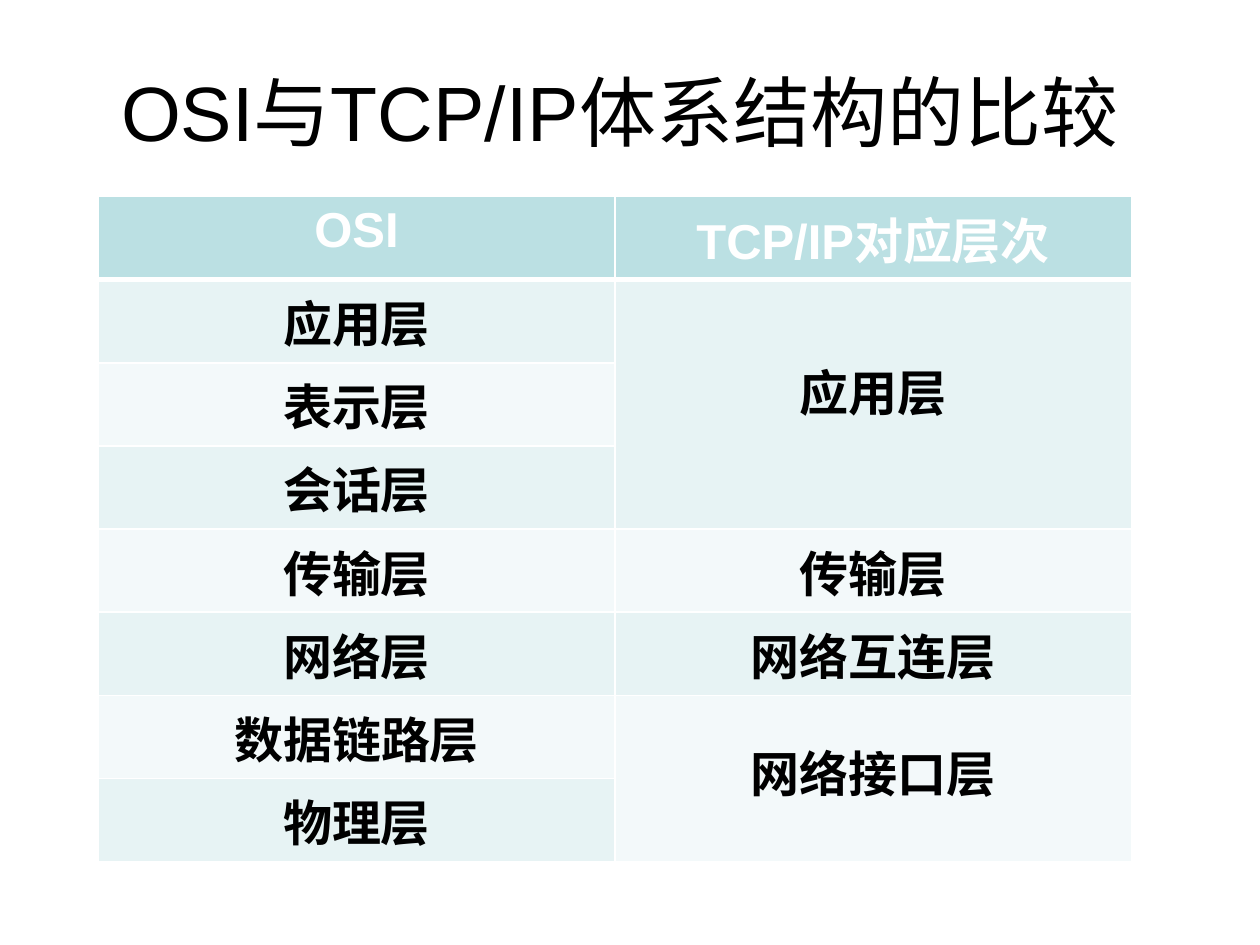
from lxml import etree
from pptx import Presentation
from pptx.dml.color import RGBColor
from pptx.enum.text import MSO_ANCHOR, PP_ALIGN
from pptx.oxml.ns import qn
from pptx.util import Inches, Pt

CENTER = PP_ALIGN.CENTER
MIDDLE = MSO_ANCHOR.MIDDLE
BLANK_LAYOUT = 6

THEME = {
    "font": "Arial",
    "title_size": 44,
    "cell_size": 28,
    "text": "000000",
    "header_text": "FFFFFF",
    "header_fill": "BBE0E3",
    "band_fills": ["F3F9FA", "E7F3F4"],
    "border": "FFFFFF",
}

OSI_LAYERS = ["OSI", "应用层", "表示层", "会话层", "传输层", "网络层", "数据链路层", "物理层"]
# Text, first row, last row, top margin in inches
TCP_IP_LAYERS = [
    ("TCP/IP对应层次", 0, 0, 0.05),
    ("应用层", 1, 3, 0.6),
    ("传输层", 4, 4, 0.05),
    ("网络互连层", 5, 5, 0.05),
    ("网络接口层", 6, 7, 0.32),
]


def write_text(frame, text, size, color, bold=False):
    """Write one centred run into the first paragraph of a text frame."""
    paragraph = frame.paragraphs[0]
    paragraph.alignment = CENTER
    run = paragraph.add_run()
    run.text = text
    run.font.name = THEME["font"]
    run.font.size = Pt(size)
    run.font.bold = bold
    run.font.color.rgb = RGBColor.from_string(color)


def set_borders(cell, bottom_width):
    """Draw the four borders of a cell, with its own width at the bottom."""
    properties = cell._tc.get_or_add_tcPr()
    widths = {"a:lnL": 1, "a:lnR": 1, "a:lnT": 1, "a:lnB": bottom_width}
    for position, (tag, width) in enumerate(widths.items()):
        line = etree.Element(qn(tag), w=str(Pt(width)))
        fill = etree.SubElement(line, qn("a:solidFill"))
        etree.SubElement(fill, qn("a:srgbClr"), val=THEME["border"])
        properties.insert(position, line)


presentation = Presentation()
presentation.slide_width = Inches(10)
presentation.slide_height = Inches(7.5)
slide = presentation.slides.add_slide(presentation.slide_layouts[BLANK_LAYOUT])

title = slide.shapes.add_textbox(Inches(0.42), Inches(0.25), Inches(9), Inches(1.25))
title.text_frame.word_wrap = True
title.text_frame.vertical_anchor = MIDDLE
write_text(title.text_frame, "OSI与TCP/IP体系结构的比较", THEME["title_size"], THEME["text"])

row_count = len(OSI_LAYERS)
row_height = Inches(0.66)
table = slide.shapes.add_table(
    row_count, 2, Inches(0.78), Inches(1.56), Inches(8.2), row_height * row_count
).table

for row_index, row in enumerate(table.rows):
    row.height = row_height
    is_header = row_index == 0
    color = THEME["header_fill"] if is_header else THEME["band_fills"][row_index % 2]
    for cell in row.cells:
        cell.fill.solid()
        cell.fill.fore_color.rgb = RGBColor.from_string(color)
        set_borders(cell, 3 if is_header else 1)

entries = [(0, name, row, row, 0.05) for row, name in enumerate(OSI_LAYERS)]
entries += [(1, *layer) for layer in TCP_IP_LAYERS]
for column, name, first_row, last_row, top_margin in entries:
    cell = table.cell(first_row, column)
    if last_row > first_row:
        cell.merge(table.cell(last_row, column))
    cell.margin_top = Inches(top_margin)
    color = THEME["header_text"] if first_row == 0 else THEME["text"]
    write_text(cell.text_frame, name, THEME["cell_size"], color, bold=True)

presentation.save("out.pptx")
